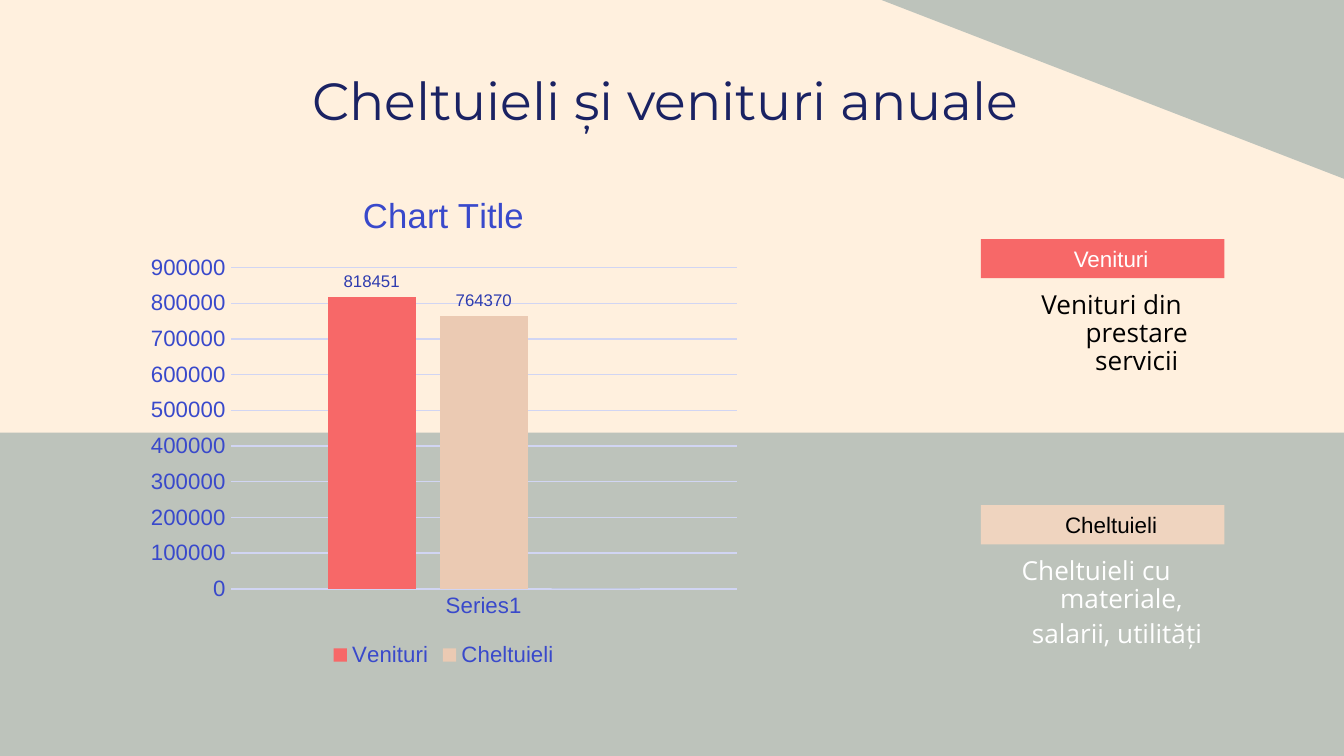
from typing import NamedTuple

from lxml.etree import SubElement
from pptx import Presentation
from pptx.chart.data import CategoryChartData
from pptx.dml.color import RGBColor
from pptx.enum.chart import XL_CHART_TYPE, XL_LABEL_POSITION, XL_LEGEND_POSITION, XL_TICK_MARK
from pptx.enum.shapes import MSO_SHAPE
from pptx.enum.text import MSO_ANCHOR, PP_ALIGN
from pptx.oxml import parse_xml
from pptx.oxml.ns import nsdecls, qn
from pptx.util import Cm, Pt

COLORS = {
    "cream": "FFF0DE", "teal": "336574", "navy": "1A2263", "coral": "F76868",
    "peach": "EFD4BF", "sand": "EBCAB3", "green": "536E4C", "blue": "3949CB",
    "label": "2E3CAF", "grid": "D1D5F3", "white": "FFFFFF", "black": "000000",
}


class Box(NamedTuple):
    left: float
    top: float
    width: float
    height: float


class Entry(NamedTuple):
    name: str
    fill: str
    ink: str
    top: float
    note: str
    frame: Box
    shade: str
    tail: int


class Series(NamedTuple):
    name: str
    value: int
    fill: str


ENTRIES = [
    Entry("Venituri", "coral", "white", 4.52, "Venituri din prestare servicii",
          Box(18.16, 5.26, 5.38, 2.44), "black", 0),
    Entry("Cheltuieli", "peach", "black", 9.55, "Cheltuieli cu materiale, salarii, utilități",
          Box(17.98, 10.29, 5.16, 2.44), "white", 18),
]
SERIES = [
    Series("Venituri", 818451, "coral"),
    Series("Cheltuieli", 764370, "sand"),
    Series("Series 3", 0, "green"),
]


def paint(part, color: str) -> None:
    part.fill.solid()
    part.fill.fore_color.rgb = RGBColor.from_string(COLORS[color])


def style(font, size: float, color: str, name: str = "Arial") -> None:
    font.size = Pt(size)
    font.name = name
    font.bold = False
    font.color.rgb = RGBColor.from_string(COLORS[color])


def draw(slide, kind, box: Box, color: str, alpha: int = 100):
    shape = slide.shapes.add_shape(kind, *map(Cm, box))
    shape.shadow.inherit = False
    paint(shape, color)
    shape.line.fill.background()
    if alpha < 100:
        tint = shape.fill._xPr.find(".//" + qn("a:srgbClr"))
        SubElement(tint, qn("a:alpha")).set("val", str(alpha * 1000))
    return shape


def write(shape, text: str, *, size: float, color: str, font: str = "Arial",
          anchor=MSO_ANCHOR.MIDDLE, indent: bool = False, space: float = 1.0,
          tail: int = 0) -> None:
    frame = shape.text_frame
    frame.word_wrap = True
    frame.vertical_anchor = anchor
    frame.margin_left = frame.margin_right = Cm(0.25)
    frame.margin_top = frame.margin_bottom = Cm(0.25)
    line = frame.paragraphs[0]
    line.alignment = PP_ALIGN.CENTER
    line.line_spacing = space
    if indent:
        props = line._p.get_or_add_pPr()
        props.set("marL", str(Cm(1.27)))
        props.set("indent", str(Cm(-0.95)))
    runs = [(text, size)] + ([(" ", tail)] if tail else [])
    for words, points in runs:
        run = line.add_run()
        run.text = words
        style(run.font, points, color, font)


def rule(line) -> None:
    line.color.rgb = RGBColor.from_string(COLORS["grid"])
    line.width = Pt(0.75)


def plot(slide, box: Box) -> None:
    data = CategoryChartData()
    data.categories = ["Series1"]
    for item in SERIES:
        data.add_series(item.name, [item.value])
    chart = slide.shapes.add_chart(XL_CHART_TYPE.COLUMN_CLUSTERED, *map(Cm, box), data).chart
    style(chart.font, 10, "navy")
    chart.has_title = True
    title = chart.chart_title.text_frame
    title.text = "Chart Title"
    style(title.paragraphs[0].runs[0].font, 18.6, "blue")
    chart.chart_title.include_in_layout = False

    bars = chart.plots[0]
    bars.gap_width = 219
    bars.overlap = -27
    bars.vary_by_categories = False
    for item, series in zip(SERIES, bars.series):
        paint(series.format, item.fill)
        if item.value:
            labels = series.data_labels
            labels.show_value = True
            labels.position = XL_LABEL_POSITION.OUTSIDE_END
            style(labels.font, 9, "label")

    for axis in (chart.category_axis, chart.value_axis):
        axis.major_tick_mark = axis.minor_tick_mark = XL_TICK_MARK.NONE
        style(axis.tick_labels.font, 11.9, "blue")
    rule(chart.category_axis.format.line)
    scale = chart.value_axis
    scale.minimum_scale = 0
    scale.maximum_scale = 900000
    scale.major_unit = 100000
    scale.format.line.fill.background()
    rule(scale.major_gridlines.format.line)

    chart.has_legend = True
    legend = chart.legend
    legend.position = XL_LEGEND_POSITION.BOTTOM
    legend.include_in_layout = False
    style(legend.font, 11.9, "blue")
    legend._element.insert(1, parse_xml(
        f'<c:legendEntry {nsdecls("c")}><c:idx val="2"/><c:delete val="1"/></c:legendEntry>'))


def main() -> None:
    deck = Presentation()
    deck.slide_width, deck.slide_height = Cm(25.4), Cm(14.29)
    slide = deck.slides.add_slide(deck.slide_layouts[6])
    paint(slide.background, "cream")

    draw(slide, MSO_SHAPE.RECTANGLE, Box(-1.24, 8.18, 27.25, 7.16), "teal", 32)
    draw(slide, MSO_SHAPE.RIGHT_TRIANGLE, Box(16.66, 0, 8.74, 3.38), "teal", 32).rotation = 180

    title = slide.shapes.add_textbox(*map(Cm, Box(1.98, 1.09, 21.44, 1.6)))
    write(title, "Cheltuieli și venituri anuale ", size=28, color="navy", font="Montserrat")

    for entry in ENTRIES:
        tag = draw(slide, MSO_SHAPE.RECTANGLE, Box(18.54, entry.top, 4.6, 0.74), entry.fill)
        write(tag, entry.name, size=12, color=entry.ink, indent=True)
        note = slide.shapes.add_textbox(*map(Cm, entry.frame))
        write(note, entry.note, size=14, color=entry.shade, font="Open Sans",
              anchor=MSO_ANCHOR.TOP, indent=True, space=0.9, tail=entry.tail)

    plot(slide, Box(2.62, 3.18, 11.53, 9.53))
    deck.save("out.pptx")


if __name__ == "__main__":
    main()
